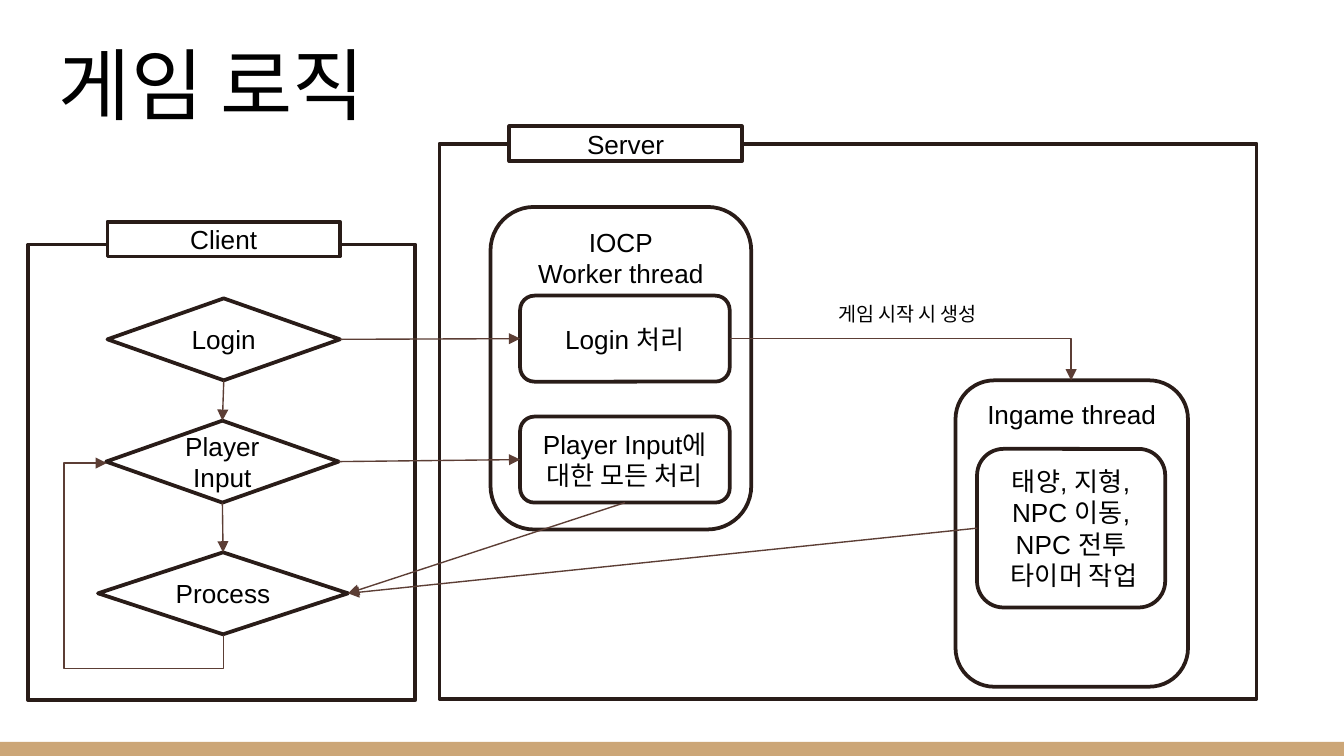
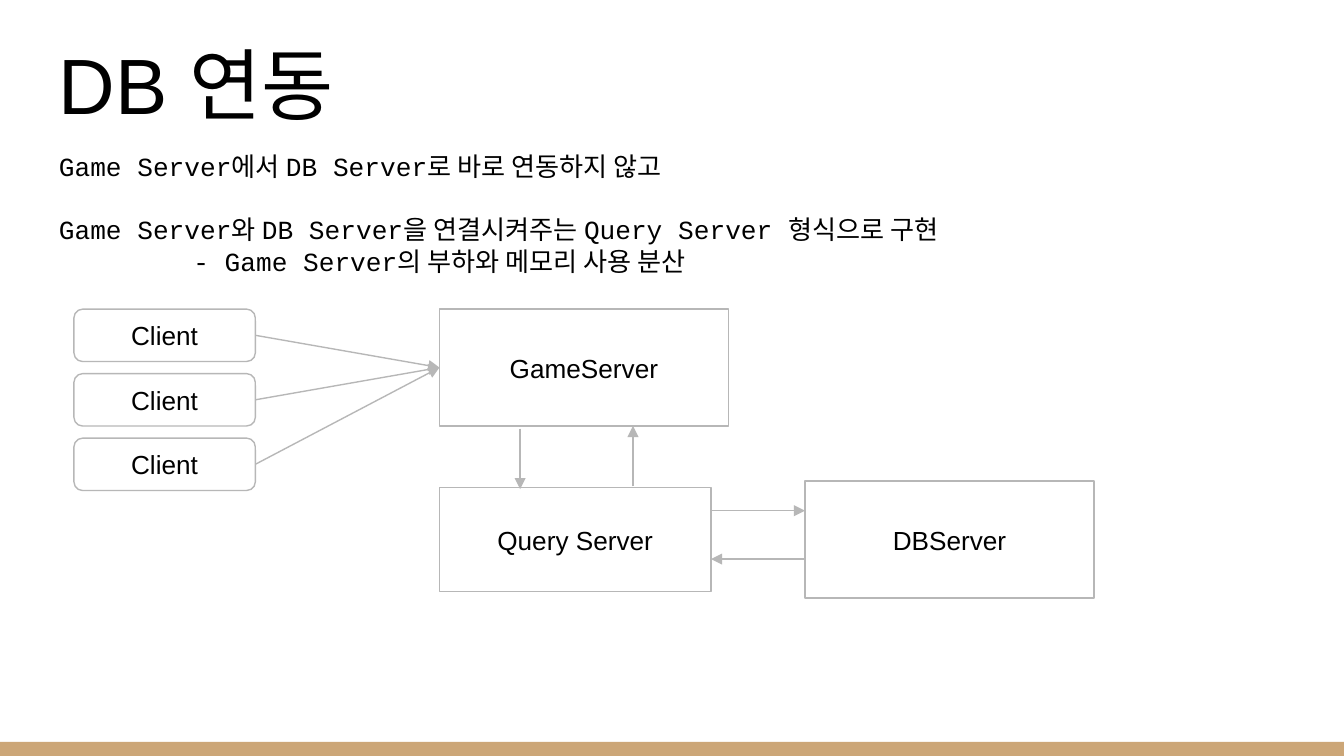
import pptx
import pptx.util
import pptx.dml.color
import pptx.enum.shapes
import pptx.enum.text
import pptx.oxml.ns
from lxml import etree

Inches = pptx.util.Inches
Pt = pptx.util.Pt
SHAPE = pptx.enum.shapes.MSO_SHAPE
CONNECTOR = pptx.enum.shapes.MSO_CONNECTOR
ANCHOR = pptx.enum.text.MSO_ANCHOR
ALIGN = pptx.enum.text.PP_ALIGN
qn = pptx.oxml.ns.qn

COLORS = {"paper": "FFFFFF", "ink": "000000", "band": "CCA677",
          "frame": "291C18", "flow": "5C3E35", "gray": "B7B7B7"}
TOP, LEFT, BOTTOM, RIGHT = range(4)
KINDS = {"box": SHAPE.RECTANGLE, "frame": SHAPE.RECTANGLE,
         "round": SHAPE.ROUNDED_RECTANGLE, "diamond": SHAPE.DIAMOND}
EVEN = (0.1, 0.1, 0.1, 0.1)
NORMAL = (0.1, 0.05, 0.1, 0.05)

LOGIC_STYLE = {"outline": "frame", "width": 2, "arrow": "flow", "margins": NORMAL}
LOGIC_SHAPES = {
    "client frame": ("frame", 0.21, 1.82, 2.88, 3.39, []),
    "server frame": ("frame", 3.27, 1.07, 6.08, 4.13, []),
    "client": ("box", 0.8, 1.65, 1.73, 0.26, ["Client"]),
    "server": ("box", 3.79, 0.94, 1.73, 0.26, ["Server"]),
    "login": ("diamond", 0.8, 2.22, 1.73, 0.61, ["Login"]),
    "input": ("diamond", 0.79, 3.13, 1.73, 0.61, ["Player Input"]),
    "process": ("diamond", 0.73, 4.11, 1.86, 0.61, ["Process"]),
    "worker": ("round", 3.65, 1.54, 1.94, 2.4, ["IOCP", "Worker thread"]),
    "ingame": ("round", 7.11, 2.83, 1.73, 2.28, ["Ingame thread"]),
    "login work": ("round", 3.87, 2.2, 1.56, 0.64, ["Login 처리"]),
    "input work": ("round", 3.87, 3.1, 1.56, 0.64, ["Player Input에 대한 모든 처리"]),
    "ingame work": ("round", 7.27, 3.34, 1.4, 1.18,
                    ["태양, 지형,", "NPC 이동,", "NPC 전투", " 타이머 작업"]),
}
TOP_ANCHORED = ("worker", "ingame")
LOGIC_ARROWS = [
    (("login", RIGHT), ("login work", LEFT)),
    (("login", BOTTOM), ("input", TOP)),
    (("input", BOTTOM), ("process", TOP)),
    (("input", RIGHT), ("input work", LEFT)),
    (("input work", BOTTOM), ("process", RIGHT)),
    (("ingame work", LEFT), ("process", RIGHT)),
]
LOGIC_ELBOWS = [
    (("process", BOTTOM), ("input", LEFT), "bentConnector4",
     (0.59, 3.65, 1.28, 0.87), {"rot": "5400000", "flipH": "1"}, (-19500, 136500)),
    (("login work", RIGHT), ("ingame", TOP), "bentConnector2",
     (5.43, 2.52, 2.54, 0.31), {}, ()),
]

DATABASE_STYLE = {"outline": "gray", "width": 0.75, "arrow": "gray", "margins": EVEN}
CLIENTS = ["client 1", "client 2", "client 3"]
DATABASE_SHAPES = {
    name: ("round", 0.55, 2.3 + 0.48 * row, 1.35, 0.39, ["Client"])
    for row, name in enumerate(CLIENTS)
}
DATABASE_SHAPES.update({
    "game": ("box", 3.27, 2.3, 2.15, 0.87, ["GameServer"]),
    "query": ("box", 3.27, 3.63, 2.02, 0.77, ["Query Server"]),
    "database": ("box", 5.99, 3.58, 2.15, 0.87, ["DBServer"]),
})
DATABASE_ARROWS = [((name, RIGHT), ("game", LEFT)) for name in CLIENTS] + [
    ((3.87, 3.19), (3.87, 3.64)),
    ((4.71, 3.62), (4.71, 3.17)),
    ((5.29, 3.8), (5.99, 3.8)),
    ((5.99, 4.16), (5.29, 4.16)),
]
DATABASE_NOTES = [
    ("Game Server에서 DB Server로 바로 연동하지 않고", {}, 0),
    ("Game Server와 DB Server을 연결시켜주는 Query Server 형식으로 구현",
     {"space_before": Pt(17)}, 0),
    ("- Game Server의 부하와 메모리 사용 분산", {}, 1),
]


def rgb(name):
    return pptx.dml.color.RGBColor.from_string(COLORS[name])


def apply(target, formats):
    for name, value in formats.items():
        setattr(target, name, value)


def write(box, lines, size, font="Arial", align=ALIGN.LEFT,
          anchor=ANCHOR.TOP, margins=NORMAL):
    frame = box.text_frame
    left, top, right, bottom = map(Inches, margins)
    apply(frame, {"word_wrap": True, "vertical_anchor": anchor,
                  "margin_left": left, "margin_top": top,
                  "margin_right": right, "margin_bottom": bottom})
    for index, (text, formats, indent) in enumerate(lines):
        para = frame.add_paragraph() if index else frame.paragraphs[0]
        apply(para, {"alignment": align, **formats})
        if indent:
            para._p.get_or_add_pPr().set("marL", str(Inches(indent)))
        span = para.add_run()
        span.text = text
        apply(span.font, {"name": font, "size": Pt(size)})
        span.font.color.rgb = rgb("ink")


def plain(lines):
    return [(line, {}, 0) for line in lines]


def add_text(page, place, lines, size, **options):
    box = page.shapes.add_textbox(*map(Inches, place))
    write(box, lines, size, **options)


def add_page(deck, title):
    page = deck.slides.add_slide(deck.slide_layouts[6])
    page.background.fill.solid()
    page.background.fill.fore_color.rgb = rgb("paper")
    band = page.shapes.add_shape(SHAPE.RECTANGLE, *map(Inches, (0, 5.52, 10, 0.11)))
    band.shadow.inherit = False
    band.fill.solid()
    band.fill.fore_color.rgb = rgb("band")
    band.line.fill.background()
    add_text(page, (0.34, 0.16, 9.32, 0.91), plain([title]), 42,
             anchor=ANCHOR.BOTTOM, margins=EVEN)
    return page


def add_shapes(page, shapes, style):
    made = {}
    for name, (kind, left, top, width, height, lines) in shapes.items():
        shape = page.shapes.add_shape(
            KINDS[kind], *map(Inches, (left, top, width, height)))
        shape.shadow.inherit = False
        if kind == "frame":
            shape.fill.background()
        else:
            shape.fill.solid()
            shape.fill.fore_color.rgb = rgb("paper")
        shape.line.color.rgb = rgb(style["outline"])
        shape.line.width = Pt(style["width"])
        if lines:
            anchor = ANCHOR.TOP if name in TOP_ANCHORED else ANCHOR.MIDDLE
            write(shape, plain(lines), 14, align=ALIGN.CENTER,
                  anchor=anchor, margins=style["margins"])
        made[name] = shape
    return made


def add_arrow(page, made, start, end, style, kind=CONNECTOR.STRAIGHT):
    points = [(0, 0) if point[0] in made else point for point in (start, end)]
    arrow = page.shapes.add_connector(kind, *map(Inches, points[0] + points[1]))
    for point, join in ((start, arrow.begin_connect), (end, arrow.end_connect)):
        if point[0] in made:
            join(made[point[0]], point[1])
    arrow.line.color.rgb = rgb(style["arrow"])
    arrow.line.width = Pt(0.75)
    properties = arrow._element.spPr
    etree.SubElement(properties.find(qn("a:ln")), qn("a:tailEnd"), type="triangle")
    etree.SubElement(properties, qn("a:effectLst"))
    return arrow


def add_elbow(page, made, elbow, style):
    start, end, preset, place, turn, adjusts = elbow
    arrow = add_arrow(page, made, start, end, style, CONNECTOR.ELBOW)
    apply(arrow, dict(zip(("left", "top", "width", "height"), map(Inches, place))))
    transform = arrow._element.spPr.find(qn("a:xfrm"))
    transform.attrib.clear()
    transform.attrib.update(turn)
    geometry = arrow._element.spPr.find(qn("a:prstGeom"))
    geometry.set("prst", preset)
    guides = geometry.find(qn("a:avLst"))
    for number, value in enumerate(adjusts, 1):
        etree.SubElement(guides, qn("a:gd"), name=f"adj{number}", fmla=f"val {value}")


def add_diagram(page, shapes, arrows, elbows, style):
    made = add_shapes(page, shapes, style)
    for start, end in arrows:
        add_arrow(page, made, start, end, style)
    for elbow in elbows:
        add_elbow(page, made, elbow, style)


def main():
    deck = pptx.Presentation()
    apply(deck, {"slide_width": Inches(10), "slide_height": Inches(5.625)})

    logic = add_page(deck, "게임 로직")
    add_diagram(logic, LOGIC_SHAPES, LOGIC_ARROWS, LOGIC_ELBOWS, LOGIC_STYLE)
    add_text(logic, (6.14, 2.2, 1.43, 0.29), plain(["게임 시작 시 생성"]), 10.5)

    database = add_page(deck, "DB 연동")
    add_text(database, (0.34, 1.07, 8.9, 1.04), DATABASE_NOTES, 14, font="Courier New")
    add_diagram(database, DATABASE_SHAPES, DATABASE_ARROWS, [], DATABASE_STYLE)

    deck.save("out.pptx")


if __name__ == "__main__":
    main()
